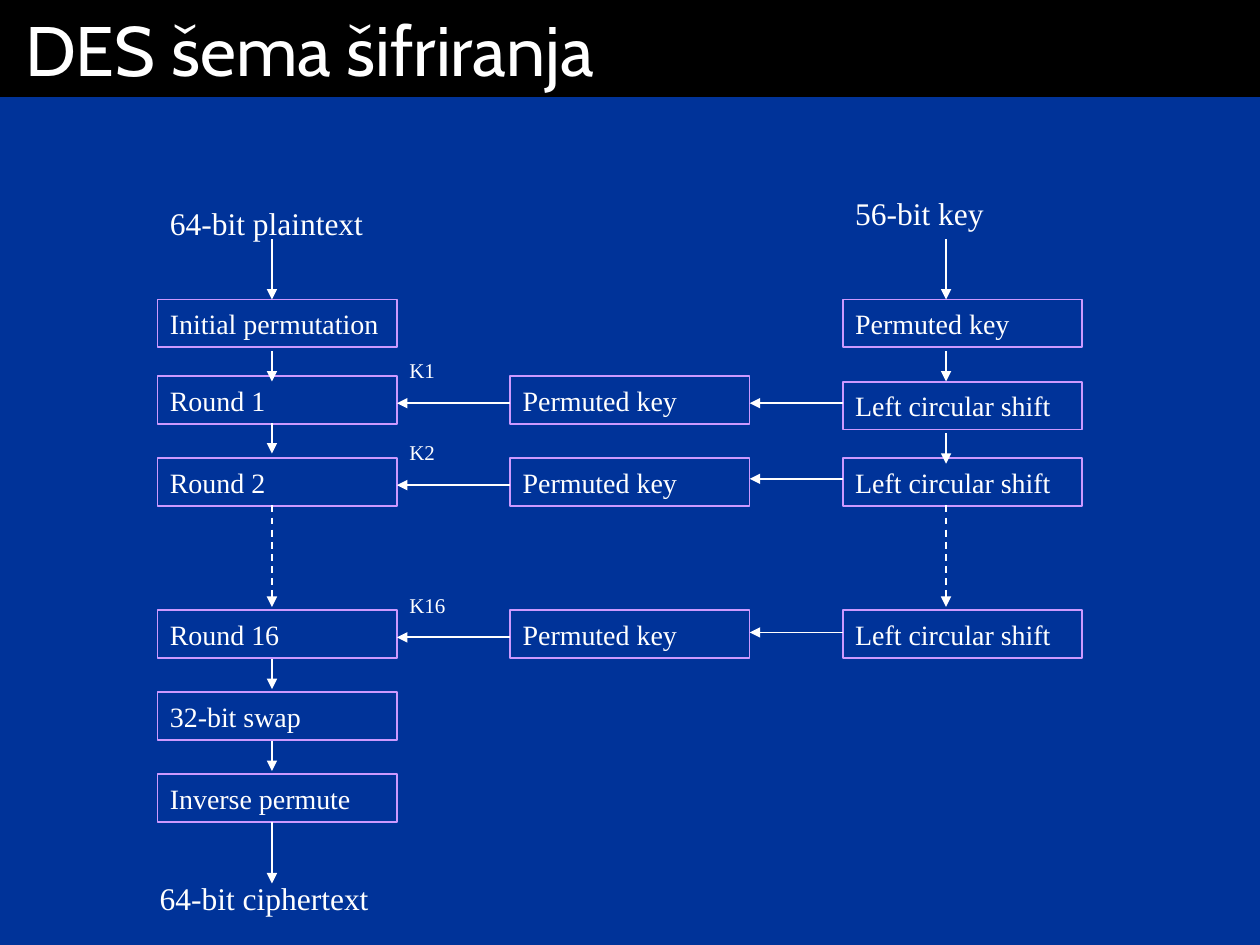
from dataclasses import dataclass

from lxml import etree
from pptx import Presentation
from pptx.dml.color import RGBColor
from pptx.enum.dml import MSO_LINE
from pptx.enum.shapes import MSO_CONNECTOR, MSO_SHAPE
from pptx.enum.text import MSO_ANCHOR, PP_ALIGN
from pptx.oxml.ns import qn
from pptx.util import Pt

RECTANGLE = MSO_SHAPE.RECTANGLE
STRAIGHT = MSO_CONNECTOR.STRAIGHT
DASH = MSO_LINE.DASH
LEFT = PP_ALIGN.LEFT
MIDDLE = MSO_ANCHOR.MIDDLE

BLUE = RGBColor(0x00, 0x33, 0x99)
BLACK = RGBColor(0x00, 0x00, 0x00)
WHITE = RGBColor(0xFF, 0xFF, 0xFF)
LILAC = RGBColor(0xCC, 0x99, 0xFF)

BODY_FONT = "Times New Roman"
STEP_HEIGHT = 27.2
LABEL_HEIGHT = 28.8
KEY_LABEL_HEIGHT = 21.6
ROUND_TOPS = (78.2, 125, 212)
ROUND_NAMES = ("1", "2", "16")


@dataclass
class Box:
    left: float
    top: float
    width: float
    height: float

    def lengths(self):
        return [Pt(value) for value in (self.left, self.top, self.width, self.height)]

    def inner(self, left, top, width, height):
        return Box(self.left + left, self.top + top, width, height)


def write(shape, text, size, font=BODY_FONT):
    frame = shape.text_frame
    frame.word_wrap = True
    frame.vertical_anchor = MIDDLE
    para = frame.paragraphs[0]
    para.text = text
    para.alignment = LEFT
    para.font.name = font
    para.font.size = Pt(size)
    para.font.color.rgb = WHITE


def add_label(page, box, text, size=18):
    write(page.shapes.add_textbox(*box.lengths()), text, size)


def add_step(page, column, top, text):
    box = column.inner(0, top, column.width, STEP_HEIGHT)
    step = page.shapes.add_shape(RECTANGLE, *box.lengths())
    step.shadow.inherit = False
    step.fill.background()
    step.line.color.rgb = LILAC
    step.line.width = Pt(1)
    write(step, text, 16)


def add_arrow(page, column, start, end, dashed=False):
    points = [
        Pt(value)
        for x, y in (start, end)
        for value in (column.left + x, column.top + y)
    ]
    arrow = page.shapes.add_connector(STRAIGHT, *points)
    arrow.line.color.rgb = WHITE
    arrow.line.width = Pt(1)
    if dashed:
        arrow.line.dash_style = DASH
    properties = arrow.element.spPr
    etree.SubElement(properties.find(qn("a:ln")), qn("a:tailEnd"), type="triangle")
    etree.SubElement(properties, qn("a:effectLst"))


def add_down_arrows(page, column, x, spans, dashed_span):
    for top, bottom in spans:
        add_arrow(page, column, (x, top), (x, bottom))
    top, bottom = dashed_span
    add_arrow(page, column, (x, top), (x, bottom), dashed=True)


def add_title(page, box):
    bar = page.shapes.add_shape(RECTANGLE, *box.lengths())
    bar.shadow.inherit = False
    bar.fill.solid()
    bar.fill.fore_color.rgb = BLACK
    bar.line.fill.background()
    write(bar, "DES šema šifriranja", 40, "Cabin")
    frame = bar.text_frame
    frame.margin_left = frame.margin_right = Pt(14.4)


def add_rounds(page, column):
    add_label(page, column.inner(0, -24, 130.3, LABEL_HEIGHT), "64-bit plaintext")
    add_step(page, column, 34.4, "Initial permutation")
    for top, name in zip(ROUND_TOPS, ROUND_NAMES):
        add_step(page, column, top, f"Round {name}")
    add_step(page, column, 258.8, "32-bit swap")
    add_step(page, column, 305.6, "Inverse permute")
    add_label(page, column.inner(-5.8, 362, 142.6, LABEL_HEIGHT), "64-bit ciphertext")
    spans = (
        (0, 34.4), (63.8, 81.2), (105, 122.4),
        (239.6, 257), (286.4, 303.8), (333.2, 368),
    )
    add_down_arrows(page, column, 65.4, spans, (152, 210))


def add_round_keys(page, column, gap):
    for top, name in zip(ROUND_TOPS, ROUND_NAMES):
        add_step(page, column, top, "Permuted key")
        add_arrow(page, column, (0, top + 15.4), (-gap, top + 15.4))
        label = column.inner(-gap, top - 14, gap, KEY_LABEL_HEIGHT)
        add_label(page, label, f"K{name}", 12)


def add_key_schedule(page, column, gap):
    add_label(page, column.inner(0, -29.6, 130.3, LABEL_HEIGHT), "56-bit key")
    add_step(page, column, 34.4, "Permuted key")
    for top, arrow_y in zip((81.4, *ROUND_TOPS[1:]), (93.6, 136.8, 224.6)):
        add_step(page, column, top, "Left circular shift")
        add_arrow(page, column, (0, arrow_y), (-gap, arrow_y))
    spans = ((0, 34.4), (63.8, 81.2), (110.8, 128.2))
    add_down_arrows(page, column, 59, spans, (152, 210))


def add_diagram(page, box):
    width = 136.8
    rounds = box.inner(0, 0, width, box.height)
    round_keys = box.inner(201.6, 0, width, box.height)
    schedule = box.inner(box.width - width, 0, width, box.height)
    add_rounds(page, rounds)
    add_round_keys(page, round_keys, round_keys.left - rounds.left - width)
    add_key_schedule(page, schedule, schedule.left - round_keys.left - width)


def main():
    deck = Presentation()
    deck.slide_width = Pt(720)
    deck.slide_height = Pt(540)
    page = deck.slides.add_slide(deck.slide_layouts[6])
    page.background.fill.solid()
    page.background.fill.fore_color.rgb = BLUE
    add_title(page, Box(0, 0, 720, 55.4))
    add_diagram(page, Box(90, 136.8, 528.4, 368))
    deck.save("out.pptx")


if __name__ == "__main__":
    main()
